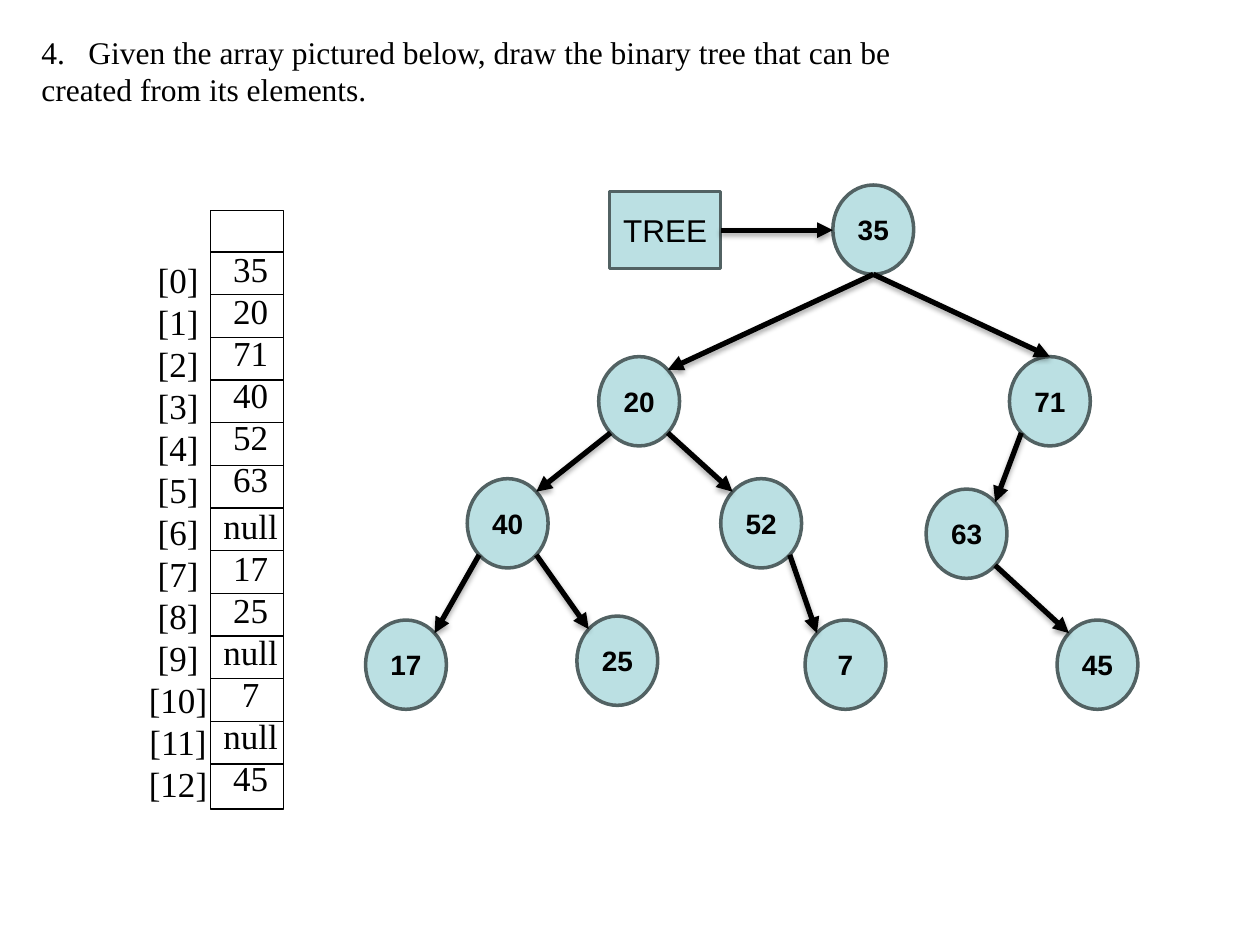
import math

import pptx
import pptx.dml.color
import pptx.enum.shapes
import pptx.enum.text
import pptx.oxml
import pptx.oxml.ns
import pptx.util

SHAPES = pptx.enum.shapes.MSO_SHAPE
ALIGN = pptx.enum.text.PP_ALIGN
ANCHOR = pptx.enum.text.MSO_ANCHOR
AUTO_SIZE = pptx.enum.text.MSO_AUTO_SIZE

NODE_WIDTH, NODE_HEIGHT = 1.63, 1.8
NODES = {
    "35": (16.79, 3.73),
    "20": (12.07, 7.19),
    "71": (20.35, 7.19),
    "40": (9.42, 9.65),
    "52": (14.53, 9.65),
    "63": (18.67, 9.86),
    "17": (7.37, 12.5),
    "25": (11.63, 12.42),
    "7": (16.23, 12.5),
    "45": (21.31, 12.5),
}
ANGLES = {"top": 270, "upper left": 225, "upper right": 315,
          "lower left": 135, "lower right": 45, "bottom": 90}
EDGES = [
    ("35", "bottom", "20", "upper right"),
    ("35", "bottom", "71", "top"),
    ("20", "lower left", "40", "upper right"),
    ("20", "lower right", "52", "upper left"),
    ("40", "lower left", "17", "upper right"),
    ("40", "lower right", "25", "upper left"),
    ("52", "lower right", "7", "upper left"),
    ("71", "lower left", "63", "upper right"),
    ("63", "lower right", "45", "upper left"),
]
VALUES = ["35", "20", "71", "40", "52", "63", "null", "17", "25", "null", "7", "null", "45"]
QUESTION = ["Given the array pictured below, draw the binary tree that can be",
            "created from its elements."]


def color(code):
    return pptx.dml.color.RGBColor.from_string(code)


def lengths(values):
    return [pptx.util.Cm(value) for value in values]


def apply(target, values):
    for name, value in values.items():
        setattr(target, name, value)


def add_xml(parent, tag, content="", attributes=""):
    namespace = pptx.oxml.ns.nsdecls("a")
    parent.append(pptx.oxml.parse_xml(f"<a:{tag} {namespace} {attributes}>{content}</a:{tag}>"))


def port(value, side):
    left, top = NODES[value]
    angle = math.radians(ANGLES[side])
    return (left + NODE_WIDTH / 2 * (1 + math.cos(angle)),
            top + NODE_HEIGHT / 2 * (1 + math.sin(angle)))


class TreeSlide:
    ink, fill, outline = "000000", "BBE0E3", "526263"
    serif = {"name": "Times New Roman", "size": pptx.util.Pt(20), "bold": False}
    question = {**serif, "size": pptx.util.Pt(18)}
    label = {"name": "Arial", "size": pptx.util.Pt(18), "bold": False}
    node = {"name": "Arial", "size": pptx.util.Pt(16), "bold": True}
    shadow = ('<a:outerShdw blurRad="39370" dist="22860" dir="5400000" rotWithShape="0">'
              '<a:srgbClr val="000000"><a:alpha val="35000"/></a:srgbClr></a:outerShdw>')

    def __init__(self, deck):
        self.page = deck.slides.add_slide(deck.slide_layouts[5])

    def add_lines(self, box, lines, font, **layout):
        frame = box.text_frame
        for index, line in enumerate(lines):
            para = frame.add_paragraph() if index else frame.paragraphs[0]
            apply(para, layout)
            span = para.add_run()
            span.text = line
            apply(span.font, font)
            span.font.color.rgb = color(self.ink)

    def title(self, area, lines, start):
        box = self.page.shapes.title
        apply(box, dict(zip(("left", "top", "width", "height"), lengths(area))))
        apply(box.text_frame, {"word_wrap": False, "auto_size": AUTO_SIZE.NONE,
                               "vertical_anchor": ANCHOR.TOP})
        self.add_lines(box, lines, self.question, alignment=ALIGN.LEFT,
                       line_spacing=pptx.util.Pt(21.6), space_before=pptx.util.Pt(0))
        numbered = box.text_frame.paragraphs[0]._p.get_or_add_pPr()
        numbered.set("marL", str(pptx.util.Cm(0.95)))
        numbered.set("indent", str(pptx.util.Cm(-0.95)))
        add_xml(numbered, "buAutoNum", attributes=f'type="arabicPeriod" startAt="{start}"')

    def column(self, area, lines):
        box = self.page.shapes.add_textbox(*lengths(area))
        box.text_frame.word_wrap = False
        self.add_lines(box, lines, self.serif, alignment=ALIGN.CENTER,
                       line_spacing=pptx.util.Pt(24))
        return box

    def shape(self, kind, area, fill, outline, weight, text="", font=None):
        box = self.page.shapes.add_shape(kind, *lengths(area))
        box.shadow.inherit = False
        if fill:
            box.fill.solid()
            box.fill.fore_color.rgb = color(fill)
        else:
            box.fill.background()
        box.line.color.rgb = color(outline)
        box.line.width = pptx.util.Pt(weight)
        if text:
            apply(box.text_frame, {"margin_left": 0, "margin_right": 0,
                                   "vertical_anchor": ANCHOR.MIDDLE})
            self.add_lines(box, [text], font, alignment=ALIGN.CENTER)

    def line(self, start, end, weight, arrow=False):
        connector = self.page.shapes.add_connector(
            pptx.enum.shapes.MSO_CONNECTOR.STRAIGHT, *lengths((*start, *end)))
        connector.line.color.rgb = color(self.ink)
        connector.line.width = pptx.util.Pt(weight)
        if arrow:
            add_xml(connector.get_or_add_ln(), "tailEnd", attributes='type="triangle"')
        add_xml(connector._element.spPr, "effectLst", self.shadow if arrow else "")


def main():
    deck = pptx.Presentation()
    apply(deck, {"slide_width": pptx.util.Cm(25.4), "slide_height": pptx.util.Cm(19.05)})
    slide = TreeSlide(deck)
    slide.title((0.58, 0.53, 17.83, 1.8), QUESTION, 4)

    left, right = 4.24, 5.72
    slide.shape(SHAPES.RECTANGLE, (left, 4.24, right - left, 12.07), None, slide.ink, 0.75)
    for row in range(len(VALUES)):
        height = 5.08 + row * 0.86
        slide.line((left, height), (right, height), 0.75)
    slide.column((2.74, 5.08, 1.7, 11.38), [f"[{index}]" for index in range(len(VALUES))])
    values = slide.column((left, 4.86, 1.63, 11.37), VALUES)
    first_null = values.text_frame.paragraphs[VALUES.index("null")]
    first_null.space_before = pptx.util.Pt(3)

    for value, corner in NODES.items():
        slide.shape(SHAPES.FLOWCHART_CONNECTOR, (*corner, NODE_WIDTH, NODE_HEIGHT),
                    slide.fill, slide.outline, 2, value, slide.node)
    slide.shape(SHAPES.RECTANGLE, (12.29, 3.86, 2.24, 1.55),
                slide.fill, slide.outline, 2, "TREE", slide.label)
    slide.line((14.53, 4.64), (16.79, 4.64), 3, arrow=True)
    for parent, exit_side, child, entry_side in EDGES:
        slide.line(port(parent, exit_side), port(child, entry_side), 3, arrow=True)

    deck.save("out.pptx")


if __name__ == "__main__":
    main()
